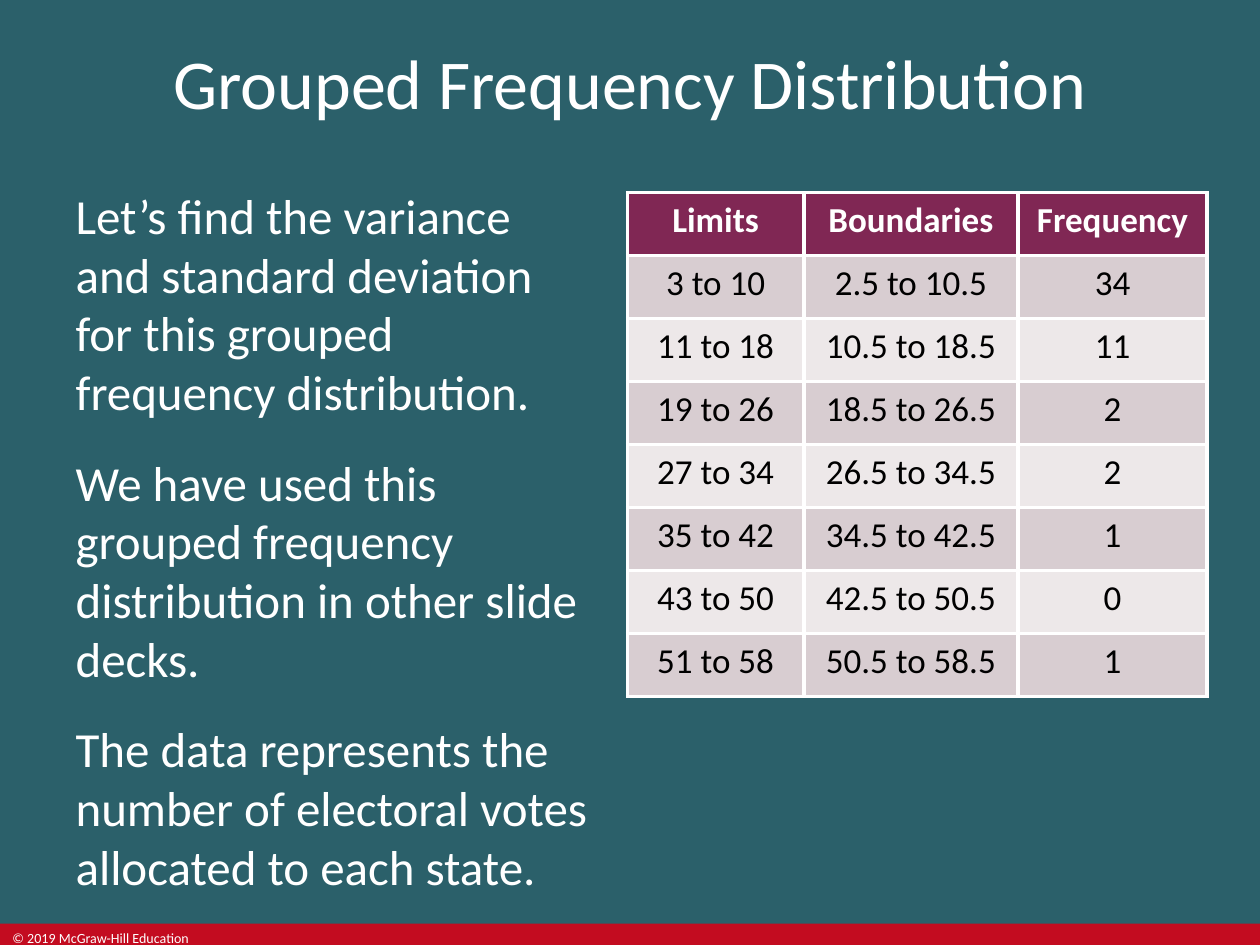
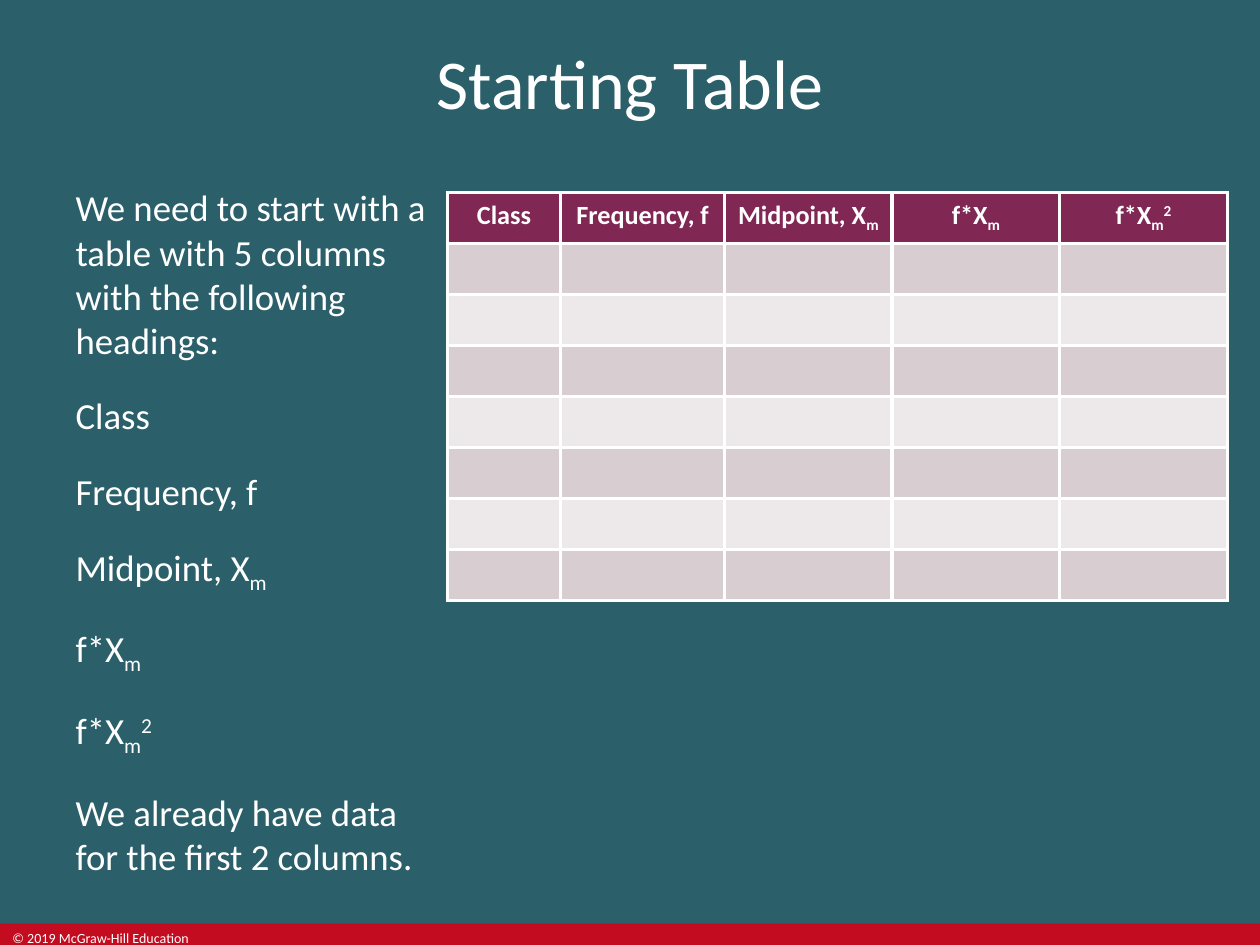
from pptx import Presentation
from pptx.dml.color import RGBColor
from pptx.enum.shapes import MSO_SHAPE
from pptx.enum.text import MSO_ANCHOR, MSO_AUTO_SIZE, PP_ALIGN
from pptx.oxml import parse_xml
from pptx.oxml.ns import nsdecls
from pptx.util import Emu, Pt

# Shared look
PX = 9144  # EMU per px, 100 px to the inch
FONT = "Calibri"
TEAL, RED, PLUM = "2B606A", "C30C20", "802754"
WHITE, BLACK = "FFFFFF", "000000"
ROW_TINTS = ("D8CDD1", "EDE8E9")
SHIFTS = {"_": "-25000", "^": "30000"}  # marks lowering or raising the next letter
COPYRIGHT = "© 2019 McGraw-Hill Education"

# Content
VOTES_INTRO = [
    "Let’s find the variance and standard deviation for this grouped frequency distribution.",
    "We have used this grouped frequency distribution in other slide decks.",
    "The data represents the number of electoral votes allocated to each state.",
]
VOTES_HEADINGS = ["Limits", "Boundaries", "Frequency"]
FREQUENCIES = [34, 11, 2, 2, 1, 0, 1]
FIRST_LIMIT, CLASS_WIDTH = 3, 8
START_HEADINGS = ["Class", "Frequency, f", "Midpoint, X_m", "f*X_m", "f*X_m^2"]
START_INTRO = [
    "We need to start with a table with 5 columns with the following headings:",
    *START_HEADINGS,
    "We already have data for the first 2 columns.",
]


def px(*lengths):
    return [Emu(length * PX) for length in lengths]


def color(hex_code):
    return RGBColor.from_string(hex_code)


def set_all(target, formats):
    for name, value in formats.items():
        setattr(target, name, value)


def place(shape, box):
    set_all(shape, dict(zip(("left", "top", "width", "height"), px(*box))))


def write(paragraph, text, size, ink=WHITE, bold=False):
    """Write text, splitting off the letters that follow a shift mark."""
    pieces, shift = [["", None]], None
    for letter in text:
        if letter in SHIFTS:
            shift = SHIFTS[letter]
        elif shift == pieces[-1][1]:
            pieces[-1][0] += letter
        else:
            pieces.append([letter, shift])
    for words, baseline in pieces:
        run = paragraph.add_run()
        run.text = words
        set_all(run.font, {"name": FONT, "size": Pt(size), "bold": bold})
        run.font.color.rgb = color(ink)
        if baseline:
            run._r.get_or_add_rPr().set("baseline", baseline)


def add_footer(slide):
    band = slide.shapes.add_shape(MSO_SHAPE.RECTANGLE, *px(0, 733, 1000, 17))
    band.shadow.inherit = False
    band.fill.solid()
    band.fill.fore_color.rgb = color(RED)
    band.line.fill.background()
    notice = slide.shapes.add_textbox(*px(0, 733, 170, 17))
    write(notice.text_frame.paragraphs[0], COPYRIGHT, 8)


def fill_title(slide, text):
    title = slide.shapes.title
    place(title, (0, 0, 1000, 130))
    set_all(title.text_frame, {"vertical_anchor": MSO_ANCHOR.MIDDLE,
                               "auto_size": MSO_AUTO_SIZE.NONE})
    heading = title.text_frame.paragraphs[0]
    heading.alignment = PP_ALIGN.CENTER
    write(heading, text, 40)


def fill_body(slide, lines, width, size):
    body = slide.placeholders[1]
    place(body, (50, 142, width, 575))
    frame = body.text_frame
    frame.auto_size = MSO_AUTO_SIZE.NONE
    for number, line in enumerate(lines):
        paragraph = frame.add_paragraph() if number else frame.paragraphs[0]
        properties = paragraph._p.get_or_add_pPr()
        for indent in ("marL", "indent"):
            properties.set(indent, "0")
        properties.append(parse_xml(f"<a:buNone {nsdecls('a')}/>"))
        set_all(paragraph, {"space_before": Pt(12 if number else 0),
                            "space_after": Pt(6)})
        write(paragraph, line, size)


def style_cell(cell, tint):
    properties = cell._tc.get_or_add_tcPr()
    for side in "LRTB":
        properties.append(parse_xml(
            f'<a:ln{side} {nsdecls("a")} w="{Pt(2.25)}"><a:solidFill>'
            f'<a:srgbClr val="{WHITE}"/></a:solidFill></a:ln{side}>'))
    cell.fill.solid()
    cell.fill.fore_color.rgb = color(tint)


def add_class_table(slide, rows, left, column_widths, height, size):
    """Add a table; its rows share the height equally."""
    box = px(left, 153, sum(column_widths), height)
    table = slide.shapes.add_table(len(rows), len(column_widths), *box).table
    for column, width in zip(table.columns, px(*column_widths)):
        column.width = width
    for r, texts in enumerate(rows):
        heading = r == 0
        for c, text in enumerate(texts):
            cell = table.cell(r, c)
            style_cell(cell, PLUM if heading else ROW_TINTS[(r - 1) % 2])
            paragraph = cell.text_frame.paragraphs[0]
            paragraph.alignment = PP_ALIGN.CENTER
            if text:
                write(paragraph, text, size, WHITE if heading else BLACK, heading)


def class_rows():
    """Limits, boundaries and frequency of each class."""
    rows = []
    for number, frequency in enumerate(FREQUENCIES):
        low = FIRST_LIMIT + number * CLASS_WIDTH
        high = low + CLASS_WIDTH - 1
        rows.append([f"{low} to {high}", f"{low - 0.5} to {high + 0.5}", str(frequency)])
    return rows


def add_content_slide(deck, title, lines, body_width, body_size):
    slide = deck.slides.add_slide(deck.slide_layouts[1])
    add_footer(slide)
    fill_title(slide, title)
    fill_body(slide, lines, body_width, body_size)
    return slide


def main():
    deck = Presentation()
    deck.slide_width, deck.slide_height = px(1000, 750)
    backdrop = deck.slide_master.background.fill
    backdrop.solid()
    backdrop.fore_color.rgb = color(TEAL)

    # Electoral votes by class
    votes = add_content_slide(deck, "Grouped Frequency Distribution", VOTES_INTRO, 430, 28)
    add_class_table(votes, [VOTES_HEADINGS] + class_rows(), 498, (140, 170, 150), 400, 20)

    # Empty working table, one row for each class
    start = add_content_slide(deck, "Starting Table", START_INTRO, 300, 21)
    blank_rows = [[""] * len(START_HEADINGS) for _ in FREQUENCIES]
    add_class_table(start, [START_HEADINGS] + blank_rows, 355, (90, 130, 133, 133, 133), 324, 15)

    deck.save("out.pptx")


if __name__ == "__main__":
    main()
